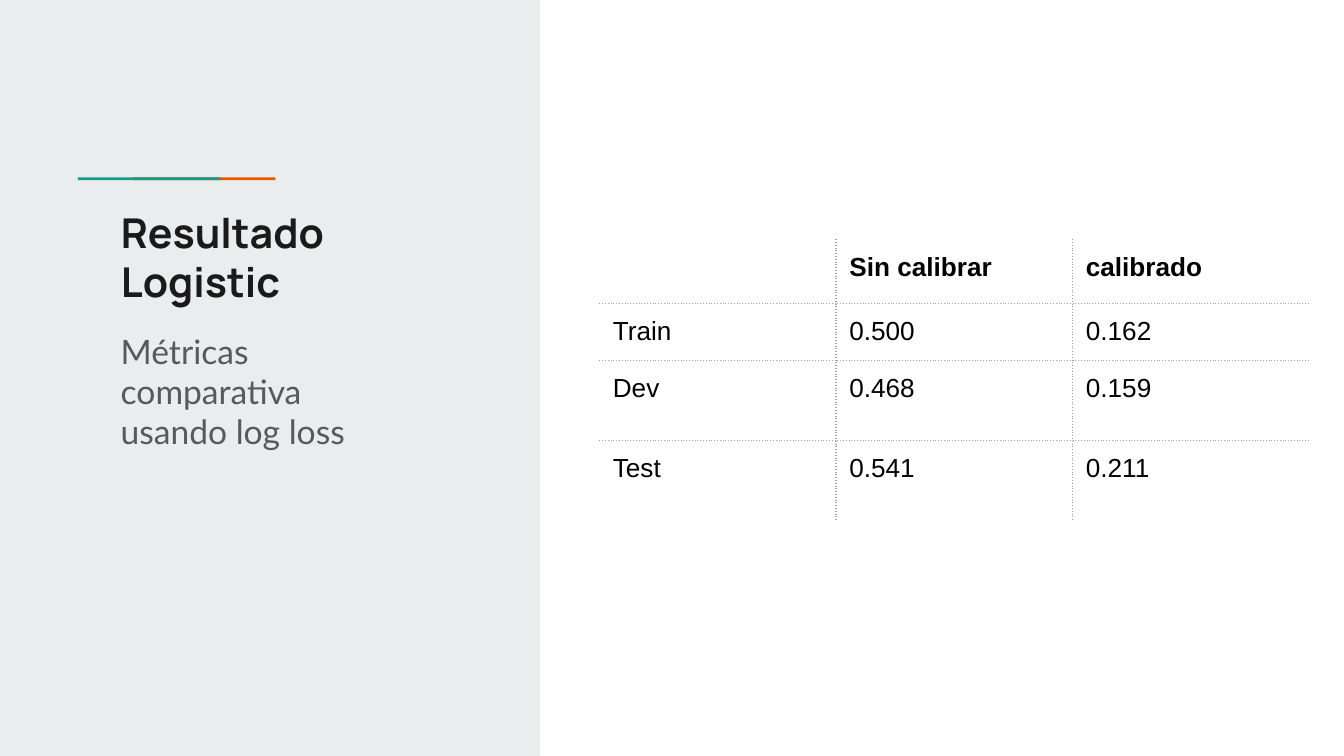
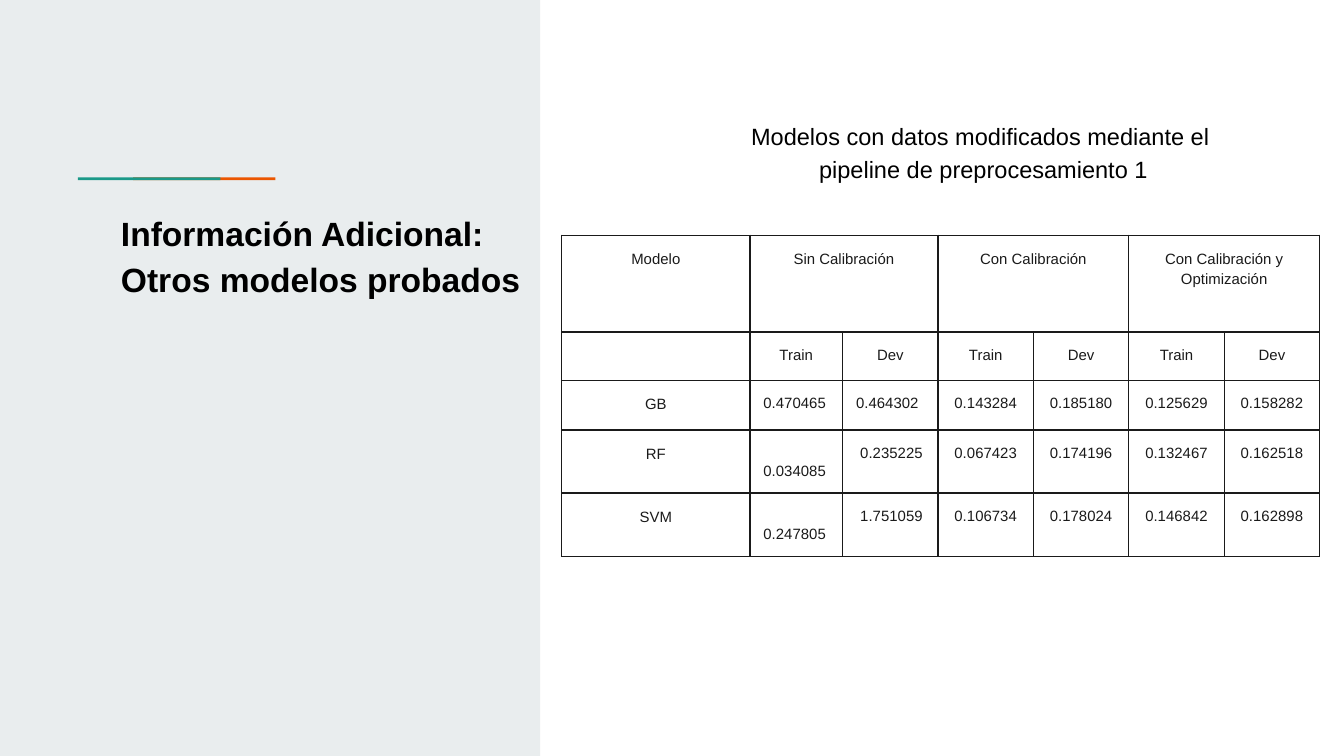
from dataclasses import dataclass

from lxml.etree import SubElement
from pptx import Presentation
from pptx.dml.color import RGBColor
from pptx.enum.shapes import MSO_SHAPE
from pptx.enum.text import MSO_ANCHOR, MSO_AUTO_SIZE, PP_ALIGN
from pptx.oxml.ns import qn
from pptx.util import Inches, Pt


@dataclass(frozen=True)
class Theme:
    panel: str = "E9EDEE"
    orange: str = "EB5600"
    teal: str = "1A9988"
    ink: str = "1A1A1A"
    black: str = "000000"
    muted: str = "595959"
    dots: str = "9E9E9E"
    heading_font: str = "Manrope"
    subtitle_font: str = "Lato"
    body_font: str = "Arial"
    heading_size: float = 22
    subtitle_size: float = 18
    caption_size: float = 12.6
    result_size: float = 14
    model_size: float = 8


THEME = Theme()
LEFT, CENTER = PP_ALIGN.LEFT, PP_ALIGN.CENTER
SLIDE_WIDTH = 10
SLIDE_HEIGHT = SLIDE_WIDTH * 9 / 16

# Content
RESULT_TITLE = ["Resultado", "Logistic"]
RESULT_SUBTITLE = ["Métricas comparativa usando log loss"]
RESULTS = [
    ("", "Sin calibrar", "calibrado"),
    ("Train", "0.500", "0.162"),
    ("Dev", "0.468", "0.159"),
    ("Test", "0.541", "0.211"),
]
RESULT_COLUMNS = [1.76] * 3
RESULT_ROWS = [0.48, 0.42, 0.6, 0.6]

MODELS_TITLE = ["Información Adicional: Otros modelos probados"]
MODELS_CAPTION = ["Modelos con datos modificados mediante el ",
                  "pipeline de preprocesamiento 1"]
STAGES = ["Sin Calibración", "Con Calibración", "Con Calibración y Optimización"]
SPLITS = ["Train", "Dev"]
SCORES = [
    ("GB", "0.470465", "0.464302", "0.143284", "0.185180", "0.125629", "0.158282"),
    ("RF", " 0.034085", " 0.235225", "0.067423", "0.174196", "0.132467", "0.162518"),
    ("SVM", " 0.247805", " 1.751059", "0.106734", "0.178024", "0.146842", "0.162898"),
]
MODEL_COLUMNS = [1.4, 0.69] + [0.71] * 5
MODEL_ROWS = [0.72, 0.36, 0.37, 0.47, 0.47]


# Text
def write(frame, lines, size, color, font=THEME.body_font, bold=False,
          align=LEFT, spacing=1.0):
    for i, line in enumerate(lines):
        paragraph = frame.paragraphs[0] if i == 0 else frame.add_paragraph()
        paragraph.alignment = align
        paragraph.line_spacing = spacing
        paragraph.space_before = Pt(0)
        if not line:
            SubElement(paragraph._p, qn("a:endParaRPr"), sz=str(int(size * 100)))
            continue
        run = paragraph.add_run()
        run.text = line
        run.font.size = Pt(size)
        run.font.name = font
        run.font.bold = bold
        run.font.color.rgb = RGBColor.from_string(color)


def fill_box(box, place, lines, size, color, **style):
    box.left, box.top, box.width, box.height = map(Inches, place)
    frame = box.text_frame
    frame.word_wrap = True
    frame.auto_size = MSO_AUTO_SIZE.NONE
    frame.vertical_anchor = MSO_ANCHOR.TOP
    frame.margin_left = frame.margin_right = Inches(0.1)
    frame.margin_top = frame.margin_bottom = Inches(0.1)
    write(frame, lines, size, color, **style)


def add_text(slide, place, lines, size, color, **style):
    box = slide.shapes.add_textbox(*map(Inches, place))
    fill_box(box, place, lines, size, color, **style)


# Shared side panel, accent line and title
def start_slide(deck, title, size, color, **style):
    slide = deck.slides.add_slide(deck.slide_layouts[5])
    bars = [
        ((0, 0, 4.02, SLIDE_HEIGHT), THEME.panel),
        ((0.99, 1.32, 1.06, 0.02), THEME.orange),
        ((0.58, 1.32, 1.06, 0.02), THEME.teal),
    ]
    for place, fill in bars:
        bar = slide.shapes.add_shape(MSO_SHAPE.RECTANGLE, *map(Inches, place))
        bar.shadow.inherit = False
        bar.fill.solid()
        bar.fill.fore_color.rgb = RGBColor.from_string(fill)
        bar.line.fill.background()
    heading = slide.shapes.title
    fill_box(heading, (0.8, 1.44, 3.22, 1.85), title, size, color, bold=True, **style)
    # The title goes in front of the panel
    slide.shapes._spTree.append(heading._element)
    return slide


# Tables
def set_borders(cell, sides, color, dash):
    properties = cell._tc.get_or_add_tcPr()
    for position, side in enumerate("LRTB"):
        line = properties.makeelement(qn(f"a:ln{side}"), {"w": str(Pt(0.75))})
        if side in sides:
            solid = SubElement(line, qn("a:solidFill"))
            SubElement(solid, qn("a:srgbClr"), val=color)
            SubElement(line, qn("a:prstDash"), val=dash)
        else:
            SubElement(line, qn("a:noFill"))
        properties.insert(position, line)


def add_grid(slide, left, top, columns, rows):
    table = slide.shapes.add_table(
        len(rows), len(columns), Inches(left), Inches(top),
        Inches(sum(columns)), Inches(sum(rows))).table
    table.first_row = table.horz_banding = False
    for column, width in zip(table.columns, columns):
        column.width = Inches(width)
    for row, height in zip(table.rows, rows):
        row.height = Inches(height)
    for cell in table.iter_cells():
        cell.fill.background()
        cell.margin_left = cell.margin_right = Inches(0.1)
        cell.margin_top = cell.margin_bottom = Inches(0.1)
    return table


def add_results(slide):
    table = add_grid(slide, 4.46, 1.78, RESULT_COLUMNS, RESULT_ROWS)
    last_row, last_column = len(RESULT_ROWS) - 1, len(RESULT_COLUMNS) - 1
    for r, row in enumerate(RESULTS):
        for c, value in enumerate(row):
            cell = table.cell(r, c)
            inner = {"L": c > 0, "R": c < last_column, "T": r > 0, "B": r < last_row}
            set_borders(cell, [s for s in inner if inner[s]], THEME.dots, "dot")
            write(cell.text_frame, [value], THEME.result_size, THEME.black,
                  bold=r == 0)


def add_models(slide):
    table = add_grid(slide, 4.18, 1.75, MODEL_COLUMNS, MODEL_ROWS)
    stage_row = ["Modelo"]
    for i, stage in enumerate(STAGES):
        first = 1 + i * len(SPLITS)
        table.cell(0, first).merge(table.cell(0, first + len(SPLITS) - 1))
        stage_row += [stage] + [""] * (len(SPLITS) - 1)
    rows = [stage_row, [""] + SPLITS * len(STAGES), *SCORES]
    for r, row in enumerate(rows):
        for c, value in enumerate(row):
            cell = table.cell(r, c)
            set_borders(cell, "LRTB", THEME.ink, "solid")
            uncalibrated = r > 1 and c in (1, 2)
            write(cell.text_frame, [value], THEME.model_size, THEME.ink,
                  align=LEFT if uncalibrated else CENTER,
                  spacing=1.15 if r == 0 or c == 0 else 1.07)


def main():
    deck = Presentation()
    deck.slide_width, deck.slide_height = Inches(SLIDE_WIDTH), Inches(SLIDE_HEIGHT)

    # Logistic results
    slide = start_slide(deck, RESULT_TITLE, THEME.heading_size, THEME.ink,
                        font=THEME.heading_font)
    add_results(slide)
    add_text(slide, (0.8, 2.36, 2.29, 1.43), RESULT_SUBTITLE,
             THEME.subtitle_size, THEME.muted, font=THEME.subtitle_font)

    # Other models
    slide = start_slide(deck, MODELS_TITLE, THEME.subtitle_size, THEME.black,
                        spacing=1.15)
    add_models(slide)
    add_text(slide, (4.02, 0.78, 6.59, 0.66), MODELS_CAPTION,
             THEME.caption_size, THEME.black, align=CENTER, spacing=1.15)

    deck.save("out.pptx")


if __name__ == "__main__":
    main()
